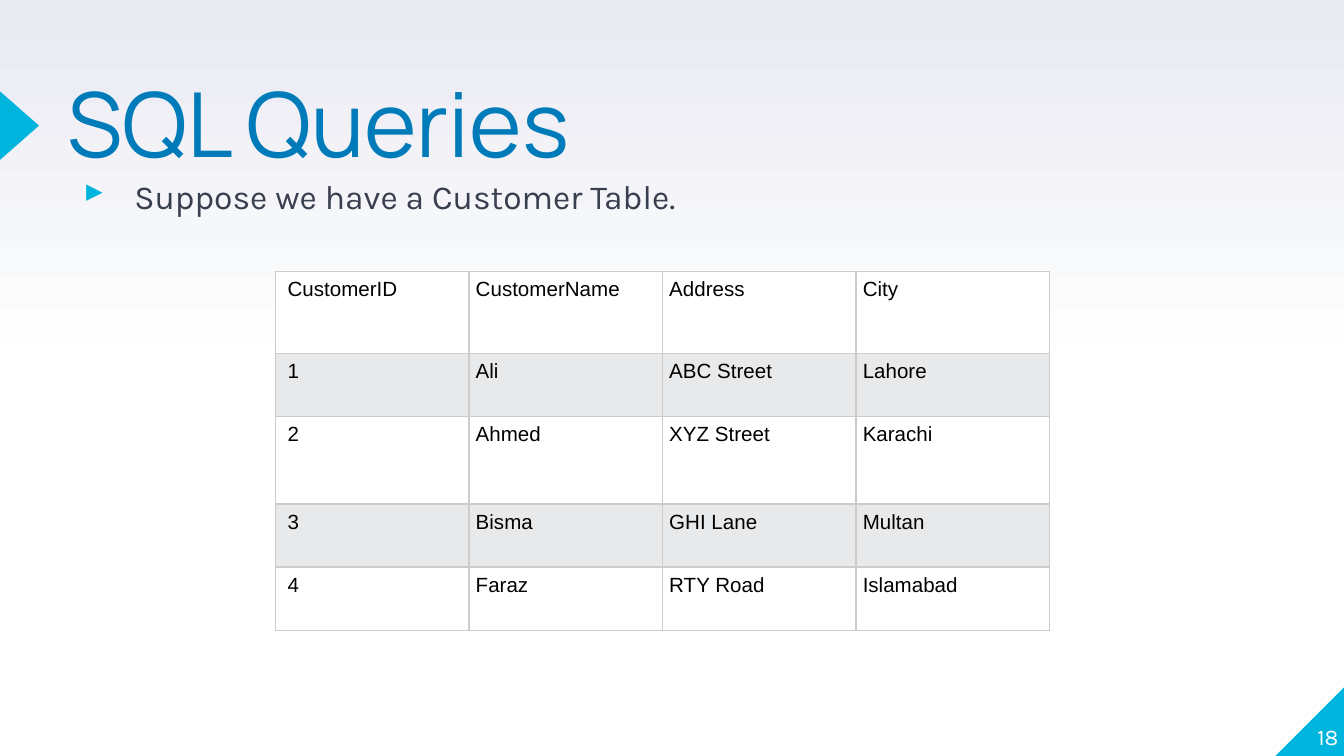
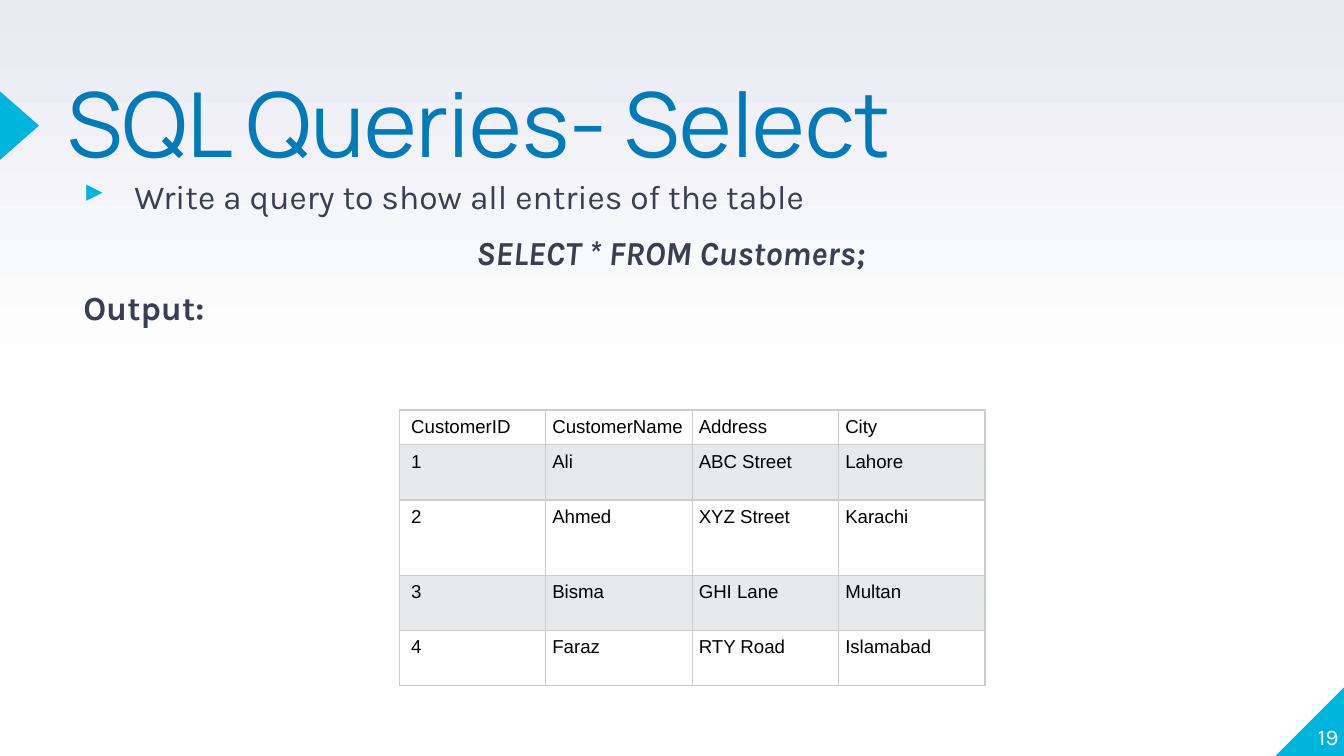
"""Build two SQL query slides around a customer table."""
from copy import deepcopy

from lxml import etree
from pptx import Presentation
from pptx.dml.color import RGBColor
from pptx.enum.shapes import MSO_SHAPE
from pptx.enum.text import MSO_ANCHOR, MSO_AUTO_SIZE, PP_ALIGN
from pptx.oxml.ns import qn
from pptx.util import Inches, Pt

TOP, BOTTOM = MSO_ANCHOR.TOP, MSO_ANCHOR.BOTTOM
LEFT, CENTER, RIGHT = PP_ALIGN.LEFT, PP_ALIGN.CENTER, PP_ALIGN.RIGHT
FIXED = MSO_AUTO_SIZE.NONE
TRIANGLE, CORNER = MSO_SHAPE.ISOSCELES_TRIANGLE, MSO_SHAPE.RIGHT_TRIANGLE

WHITE = RGBColor(0xFF, 0xFF, 0xFF)
BLACK = RGBColor(0x00, 0x00, 0x00)
HAZE = RGBColor(0xE9, 0xEA, 0xF2)
CYAN = RGBColor(0x00, 0xB5, 0xDD)
BLUE = RGBColor(0x00, 0x7B, 0xB9)
SLATE = RGBColor(0x3A, 0x3F, 0x50)
STRIPE = RGBColor(0xE7, 0xE9, 0xEB)
RULE = RGBColor(0xCC, 0xCC, 0xCC)

WIDTH, HEIGHT = 10, 5.625
MARGIN = 0.5
CORNER_SIZE = 0.51

CUSTOMERS = [
    ("CustomerID", "CustomerName", "Address", "City"),
    ("1", "Ali", "ABC Street", "Lahore"),
    ("2", "Ahmed", "XYZ Street", "Karachi"),
    ("3", "Bisma", "GHI Lane", "Multan"),
    ("4", "Faraz", "RTY Road", "Islamabad"),
]

SLIDES = [
    {
        "title": "SQL Queries",
        "number": "18",
        "lines": [("Suppose we have a Customer Table.", "bullet")],
        "table": {"at": (2.05, 2.02), "column": 1.44, "size": 11,
                  "rows": (0.61, 0.47, 0.65, 0.47, 0.47)},
    },
    {
        "title": "SQL Queries- Select",
        "number": "19",
        "lines": [("Write a query to show all entries of the table", "bullet"),
                  ("SELECT * FROM Customers;", "query"),
                  ("Output:", "label")],
        "table": {"at": (2.97, 3.05), "column": 1.09, "size": 10,
                  "rows": (0.26, 0.41, 0.56, 0.41, 0.41)},
    },
]

LINE_STYLES = {
    "bullet": {"align": LEFT, "indent": (0.5, -0.38), "bold": False, "italic": False},
    "query": {"align": CENTER, "indent": (0.12, 0), "bold": True, "italic": True},
    "label": {"align": LEFT, "indent": (0.12, 0), "bold": True, "italic": False},
}


def box(*lengths):
    return [Inches(length) for length in lengths]


def set_font(paragraph, name, size, color, bold=False, italic=False):
    for run in paragraph.runs:
        font = run.font
        font.name, font.size, font.color.rgb = name, Pt(size), color
        font.bold, font.italic = bold, italic


def set_frame(frame, anchor=TOP):
    frame.word_wrap = True
    frame.auto_size = FIXED
    frame.vertical_anchor = anchor
    frame.margin_left = frame.margin_right = 0
    frame.margin_top = frame.margin_bottom = 0


def paint_background(master):
    fill = master.background.fill
    fill.gradient()
    fill.gradient_angle = 90
    stops = next(master.element.iter(qn("a:gsLst")))
    stops.insert(1, deepcopy(stops[0]))
    for stop, position, color in zip(fill.gradient_stops, (0, 0.5, 1), (WHITE, WHITE, HAZE)):
        stop.position, stop.color.rgb = position, color


def add_accent(slide, preset, bounds):
    accent = slide.shapes.add_shape(preset, *box(*bounds))
    accent.shadow.inherit = False
    accent.fill.solid()
    accent.fill.fore_color.rgb = CYAN
    accent.line.fill.background()
    return accent


def add_title(slide, text):
    title = slide.shapes.title
    title.left, title.top, title.width, title.height = box(MARGIN, 0.66, 9.46, 1.18)
    set_frame(title.text_frame)
    title.text_frame.text = text
    heading = title.text_frame.paragraphs[0]
    heading.alignment, heading.line_spacing = LEFT, 0.8
    set_font(heading, "Manrope", 48, BLUE)


def add_bullet(properties):
    color = etree.SubElement(properties, qn("a:buClr"))
    etree.SubElement(color, qn("a:srgbClr"), val=str(CYAN))
    etree.SubElement(properties, qn("a:buChar"), char="▸")


def add_body(slide, lines):
    frame = slide.shapes.add_textbox(*box(MARGIN, 1.28, 8.86, 3.83)).text_frame
    set_frame(frame)
    frame.text = "\n".join(text for text, _ in lines)
    for paragraph, (_, kind) in zip(frame.paragraphs, lines):
        style = LINE_STYLES[kind]
        paragraph.alignment = style["align"]
        paragraph.line_spacing, paragraph.space_before = 1.1, Pt(6)
        set_font(paragraph, "Karla", 18, SLATE, style["bold"], style["italic"])
        properties = paragraph._p.get_or_add_pPr()
        margin, indent = box(*style["indent"])
        properties.set("marL", str(margin))
        properties.set("indent", str(indent))
        if kind == "bullet":
            add_bullet(properties)


def add_borders(cell):
    properties = cell._tc.get_or_add_tcPr()
    for side in ("a:lnL", "a:lnR", "a:lnT", "a:lnB"):
        line = etree.SubElement(properties, qn(side), w=str(Pt(0.75)))
        fill = etree.SubElement(line, qn("a:solidFill"))
        etree.SubElement(fill, qn("a:srgbClr"), val=str(RULE))


def add_customers(slide, at, column, size, rows):
    columns = len(CUSTOMERS[0])
    bounds = box(*at, column * columns, sum(rows))
    table = slide.shapes.add_table(len(rows), columns, *bounds).table
    table.first_row = table.horz_banding = False
    for table_column in table.columns:
        table_column.width = Inches(column)
    for r, (record, height) in enumerate(zip(CUSTOMERS, rows)):
        table.rows[r].height = Inches(height)
        for c, value in enumerate(record):
            cell = table.cell(r, c)
            cell.text = value
            cell.margin_left = Inches(0.05 if c else 0.09)
            cell.margin_right = cell.margin_top = cell.margin_bottom = Inches(0.05)
            set_font(cell.text_frame.paragraphs[0], "Arial", size, BLACK)
            add_borders(cell)
            cell.fill.solid()
            cell.fill.fore_color.rgb = STRIPE if r % 2 else WHITE


def add_number(slide, number):
    frame = slide.shapes.add_textbox(*box(9.46, 5.07, 0.5, CORNER_SIZE)).text_frame
    set_frame(frame, BOTTOM)
    frame.text = number
    frame.paragraphs[0].alignment = RIGHT
    set_font(frame.paragraphs[0], "Karla", 12, WHITE)


def add_accents(slide):
    corner_bounds = (WIDTH - CORNER_SIZE, HEIGHT - CORNER_SIZE, CORNER_SIZE, CORNER_SIZE)
    corner = add_accent(slide, CORNER, corner_bounds)
    corner._element.spPr.get_or_add_xfrm().set("flipH", "1")
    add_accent(slide, TRIANGLE, (-0.11, 0.79, 0.51, 0.29)).rotation = 90


def main():
    deck = Presentation()
    deck.slide_width, deck.slide_height = box(WIDTH, HEIGHT)
    paint_background(deck.slide_master)
    for content in SLIDES:
        slide = deck.slides.add_slide(deck.slide_layouts[5])
        add_accents(slide)
        add_title(slide, content["title"])
        add_body(slide, content["lines"])
        add_customers(slide, **content["table"])
        add_number(slide, content["number"])
    deck.save("out.pptx")


if __name__ == "__main__":
    main()
